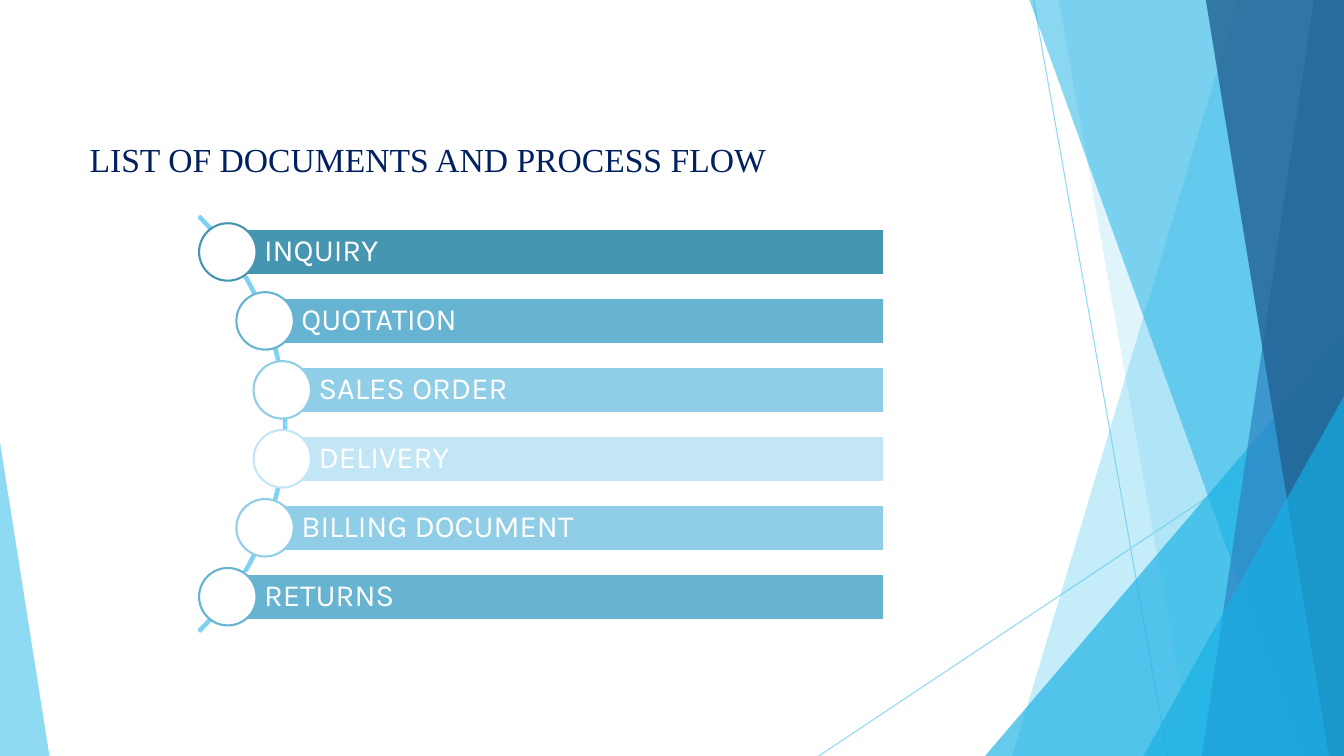
from typing import NamedTuple

from lxml import etree
from pptx import Presentation
from pptx.dml.color import RGBColor
from pptx.enum.shapes import MSO_CONNECTOR, MSO_SHAPE
from pptx.enum.text import MSO_ANCHOR, PP_ALIGN
from pptx.oxml.ns import qn
from pptx.util import Inches, Pt

LINE = MSO_CONNECTOR.STRAIGHT
RECT, OVAL = MSO_SHAPE.RECTANGLE, MSO_SHAPE.OVAL
TRI, ARC = MSO_SHAPE.ISOSCELES_TRIANGLE, MSO_SHAPE.BLOCK_ARC
MIDDLE, LEFT = MSO_ANCHOR.MIDDLE, PP_ALIGN.LEFT
WIDE, HIGH = 13.33, 7.5
WHITE, SKY, CYAN = "FFFFFF", "5FCBEF", "17B0E4"


class Ray(NamedTuple):
    start: tuple
    end: tuple


class Band(NamedTuple):
    """Area from a slanted left side to the right edge of the slide."""
    top: float
    base: float
    color: str
    alpha: int


class Wedge(NamedTuple):
    """Right triangle standing on the lower edge of the slide."""
    left: float
    top: float
    width: float
    peak: float
    color: str
    alpha: int


class Step(NamedTuple):
    name: str
    left: float
    color: str


def paint(part, color: str, alpha: int = 100) -> None:
    """Make a fill solid, with an opacity in percent."""
    part.solid()
    part.fore_color.rgb = RGBColor.from_string(color)
    if alpha < 100:
        tone = part._xPr.find(qn("a:solidFill"))[0]
        etree.SubElement(tone, qn("a:alpha"), val=str(alpha * 1000))


def style(shape, fill: str = "", edge: str = "", alpha: int = 100) -> None:
    shape.shadow.inherit = False
    if fill:
        paint(shape.fill, fill, alpha)
    else:
        shape.fill.background()
    if edge:
        paint(shape.line.fill, edge)
        shape.line.width = Pt(1.5)
    else:
        shape.line.fill.background()


def add(kind, left: float, top: float, width: float, height: float):
    return slide.shapes.add_shape(
        kind, Inches(left), Inches(top), Inches(width), Inches(height))


def write(frame, text: str, font: str, size: int, color: str,
          space: float) -> None:
    frame.word_wrap = True
    frame.text = text
    para = frame.paragraphs[0]
    para.alignment, para.line_spacing = LEFT, space
    face = para.runs[0].font
    face.name, face.size = font, Pt(size)
    face.color.rgb = RGBColor.from_string(color)


def draw_ray(ray: Ray) -> None:
    line = slide.shapes.add_connector(
        LINE, *(Inches(n) for n in ray.start + ray.end))
    paint(line.line.fill, SKY, 70)
    line.line.width = Pt(0.75)
    etree.SubElement(line._element.spPr, qn("a:effectLst"))


def draw_band(band: Band) -> None:
    pen = slide.shapes.build_freeform(Inches(band.top), 0)
    rest = [(WIDE, 0), (WIDE, HIGH), (band.base, HIGH)]
    pen.add_line_segments([(Inches(x), Inches(y)) for x, y in rest])
    style(pen.convert_to_shape(), band.color, alpha=band.alpha)


def draw_wedge(wedge: Wedge) -> None:
    shape = add(TRI, wedge.left, wedge.top, wedge.width, HIGH - wedge.top)
    shape.adjustments[0] = wedge.peak
    style(shape, wedge.color, alpha=wedge.alpha)


def draw_step(step: Step, top: float) -> None:
    bar = add(RECT, step.left, top, END - step.left, BAR)
    style(bar, step.color, WHITE)
    frame = bar.text_frame
    write(frame, step.name, "Karla", 22, WHITE, 0.9)
    frame.vertical_anchor = MIDDLE
    frame.margin_left = Inches(0.36)
    frame.margin_top = frame.margin_right = frame.margin_bottom = Inches(0.06)
    knob = add(OVAL, step.left - KNOB / 2, top + (BAR - KNOB) / 2, KNOB, KNOB)
    style(knob, WHITE, step.color)


deck = Presentation()
deck.slide_width, deck.slide_height = Inches(WIDE), Inches(HIGH)
slide = deck.slides.add_slide(deck.slide_layouts[6])

# Backdrop, from back to front
BACK = [
    Ray((10.25, 0), (11.58, HIGH)),
    Ray((WIDE, 4.03), (8.12, HIGH)),
    Band(12.28, 10.04, SKY, 36),
    Band(10.5, 11.83, SKY, 20),
    Wedge(9.77, 3.33, 3.56, 1, CYAN, 66),
    Band(10.21, 12.91, CYAN, 50),
    Band(13.03, 11.92, "2E83C3", 70),
    Band(11.96, 13.18, "226292", 80),
    Wedge(11.34, 3.93, 1.99, 1, CYAN, 66),
    Wedge(0, 4.39, 0.49, 0, SKY, 70),
]
DRAW = {Ray: draw_ray, Band: draw_band, Wedge: draw_wedge}
for item in BACK:
    DRAW[type(item)](item)

# Arc behind the steps
arc = add(ARC, -2.99, 1.29, 5.83, 5.83)
for spot, value in enumerate((189, 27, 0.004)):
    arc.adjustments[spot] = value
style(arc, edge="7DD1F1")

# Process steps
FIRST, LAST = 2.27, 5.69
END, BAR, KNOB = 8.77, 0.46, 0.57
STEPS = [
    Step("INQUIRY", 2.26, "4696B1"),
    Step("QUOTATION", 2.63, "66B4D1"),
    Step("SALES ORDER", 2.8, "90CEE7"),
    Step("DELIVERY", 2.8, "C2E6F6"),
    Step("BILLING DOCUMENT", 2.63, "90CEE7"),
    Step("RETURNS", 2.26, "66B4D1"),
]
PITCH = (LAST - FIRST) / (len(STEPS) - 1)
for row, step in enumerate(STEPS):
    draw_step(step, FIRST + row * PITCH)

# Title
title = slide.shapes.add_textbox(
    Inches(0.79), Inches(0.93), Inches(7.12), Inches(1.92))
write(title.text_frame, "LIST OF DOCUMENTS AND PROCESS FLOW",
      "Times New Roman", 24, "002060", 2.0)

deck.save("out.pptx")
